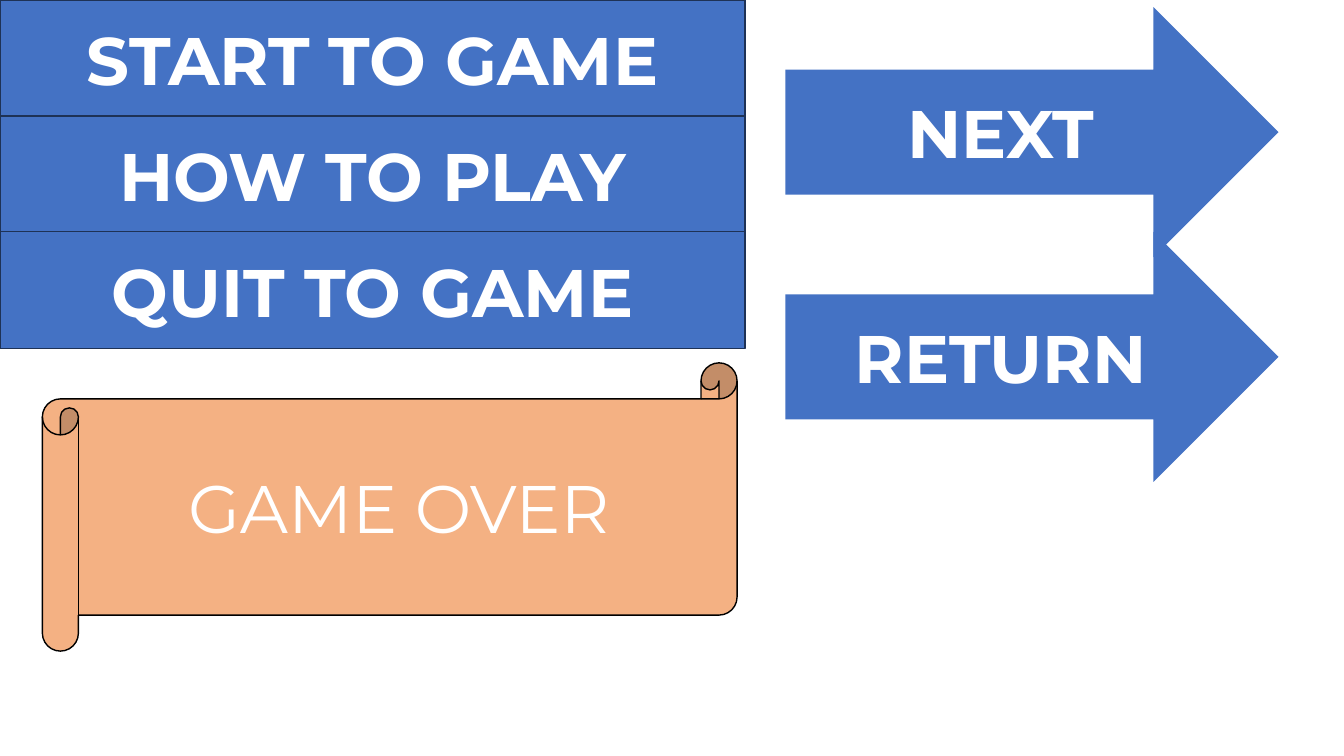
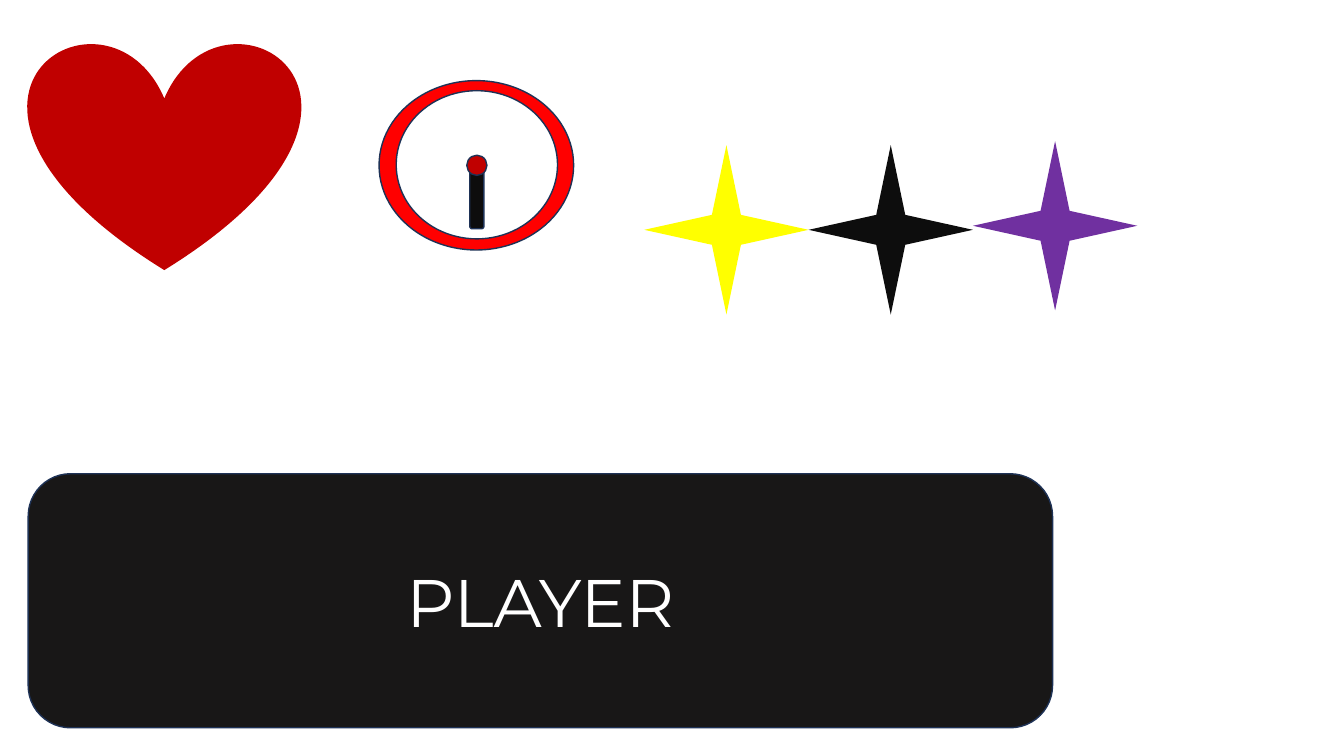
from pptx import Presentation
from pptx.dml.color import RGBColor
from pptx.enum.shapes import MSO_SHAPE
from pptx.enum.text import MSO_ANCHOR, PP_ALIGN
from pptx.util import Inches, Pt

RECTANGLE = MSO_SHAPE.RECTANGLE
ROUNDED = MSO_SHAPE.ROUNDED_RECTANGLE
ARROW = MSO_SHAPE.RIGHT_ARROW
SCROLL = MSO_SHAPE.HORIZONTAL_SCROLL
HEART = MSO_SHAPE.HEART
OVAL = MSO_SHAPE.OVAL
STAR = MSO_SHAPE.STAR_4_POINT
CENTER = PP_ALIGN.CENTER
MIDDLE = MSO_ANCHOR.MIDDLE

FONT = "Montserrat"
LABEL_SIZE = 48
BLUE = "4472C4"
NAVY = "1E3256"
ORANGE = "F4B183"
DARK_RED = "C00000"
RED = "FF0000"
YELLOW = "FFFF00"
PURPLE = "7030A0"
NEAR_BLACK = "0D0D0D"
CHARCOAL = "181717"
BLACK = "000000"
WHITE = "FFFFFF"


def color(value):
    """Turn a hex string into a colour."""
    return RGBColor.from_string(value)


def add_figure(shapes, preset, box, fill, line=None):
    """Add a filled preset shape, outlined only when a line colour is given."""
    figure = shapes.add_shape(preset, *map(Inches, box))
    figure.shadow.inherit = False
    figure.fill.solid()
    figure.fill.fore_color.rgb = color(fill)
    if line:
        figure.line.color.rgb = color(line)
        figure.line.width = Pt(1)
    else:
        figure.line.fill.background()
    return figure


def add_label(figure, text, bold=False):
    """Write a centred white label inside a shape."""
    frame = figure.text_frame
    frame.text = text
    frame.word_wrap = True
    frame.vertical_anchor = MIDDLE
    para = frame.paragraphs[0]
    para.alignment = CENTER
    font = para.runs[0].font
    font.name = FONT
    font.size = Pt(LABEL_SIZE)
    font.bold = bold
    font.color.rgb = color(WHITE)


def add_buttons(page, preset, labels, box, pitch, line=None):
    """Stack equal blue buttons downwards, starting from the first one's box."""
    left, top, width, height = box
    for index, text in enumerate(labels):
        place = (left, top + index * pitch, width, height)
        button = add_figure(page.shapes, preset, place, BLUE, line)
        add_label(button, text, bold=True)


def add_dial(page, box):
    """Group a ringed dial with a hand and hub placed relative to its box."""
    left, top, width, height = box
    parts = (
        (OVAL, (0, 0, width, height), RED),
        (OVAL, (0.17, 0.1, width - 0.33, height - 0.21), WHITE),
        (ROUNDED, (0.9, 0.84, 0.14, 0.63), NEAR_BLACK),
        (OVAL, (0.87, 0.74, 0.2, 0.2), DARK_RED),
    )
    group = page.shapes.add_group_shape()
    for preset, (across, down, wide, high), fill in parts:
        place = (left + across, top + down, wide, high)
        add_figure(group.shapes, preset, place, fill, NAVY)


def add_stars(page, box):
    """Set three touching stars side by side, the last one slightly raised."""
    left, top, width, height = box
    stars = ((YELLOW, 0), (NEAR_BLACK, 0), (PURPLE, 0.04))
    for index, (fill, lift) in enumerate(stars):
        place = (left + index * width, top - lift, width, height)
        add_figure(page.shapes, STAR, place, fill)


def build_menu(page):
    """Build the slide of menu buttons, arrows and the closing scroll."""
    add_buttons(page, RECTANGLE, ("START TO GAME", "HOW TO PLAY", "QUIT TO GAME"),
                (0, 0, 7.39, 1.16), 1.15, NAVY)
    add_buttons(page, ARROW, ("NEXT", "RETURN"), (7.79, 0.07, 4.89, 2.48), 2.23)
    scroll = add_figure(page.shapes, SCROLL, (0.42, 3.6, 6.89, 2.86), ORANGE, BLACK)
    add_label(scroll, "GAME OVER")


def build_pieces(page):
    """Build the slide of game pieces and the player panel."""
    add_figure(page.shapes, HEART, (0.28, 0.41, 2.7, 2.27), DARK_RED)
    add_dial(page, (3.76, 0.8, 1.93, 1.68))
    panel = add_figure(page.shapes, ROUNDED, (0.28, 4.7, 10.16, 2.52), CHARCOAL, NAVY)
    add_label(panel, "PLAYER")
    add_stars(page, (6.39, 1.44, 1.63, 1.68))


def main():
    """Build both slides and save the deck."""
    deck = Presentation()
    deck.slide_width = Inches(13.33)
    deck.slide_height = Inches(7.5)
    blank = deck.slide_layouts[6]
    for build in (build_menu, build_pieces):
        build(deck.slides.add_slide(blank))
    deck.save("out.pptx")


if __name__ == "__main__":
    main()
